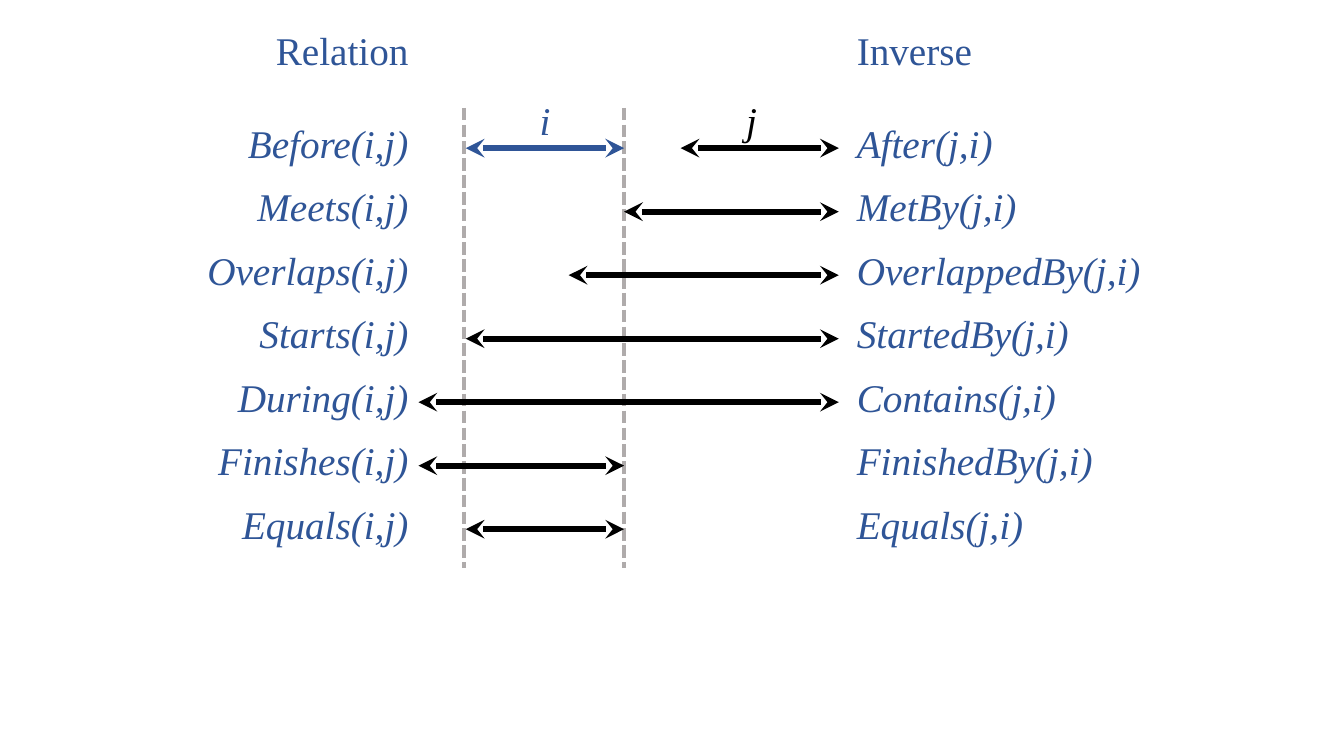
from typing import NamedTuple

from pptx import Presentation
from pptx.dml.color import RGBColor
from pptx.enum.dml import MSO_LINE
from pptx.enum.shapes import MSO_CONNECTOR
from pptx.enum.text import PP_ALIGN
from pptx.oxml.ns import qn
from pptx.shapes.connector import Connector
from pptx.slide import Slide
from pptx.util import Inches, Pt
from lxml.etree import SubElement

BLUE = RGBColor(0x2F, 0x55, 0x97)
BLACK = RGBColor(0, 0, 0)
GREY = RGBColor(0xAF, 0xAB, 0xAB)

FONT = "Times New Roman"
LABEL_HEIGHT = 0.57
HEADING_TOP = 0.21
RELATION_LEFT, RELATION_WIDTH = 1.75, 2.4
INVERSE_LEFT, INVERSE_WIDTH = 8.4, 3.3

# Horizontal stops shared by the intervals
BEFORE_I, I_START, IN_I, I_END, AFTER_I, J_END = 4.15, 4.62, 5.64, 6.19, 6.75, 8.32
GUIDES = (4.6, I_END)
GUIDE_TOP, GUIDE_BOTTOM = 1.07, 5.64
FIRST_ROW, ROW_STEP = 1.47, 0.63
LABEL_RISE = 0.34  # from the top of a row label down to its arrow


class Relation(NamedTuple):
    """An interval relation, its inverse and the extent of interval j."""
    name: str
    inverse: str
    start: float
    end: float


RELATIONS = (
    Relation("Before", "After", AFTER_I, J_END),
    Relation("Meets", "MetBy", I_END, J_END),
    Relation("Overlaps", "OverlappedBy", IN_I, J_END),
    Relation("Starts", "StartedBy", I_START, J_END),
    Relation("During", "Contains", BEFORE_I, J_END),
    Relation("Finishes", "FinishedBy", BEFORE_I, I_END),
    Relation("Equals", "Equals", I_START, I_END),
)


def add_label(slide: Slide, text: str, left: float, top: float, width: float,
              align: PP_ALIGN, color: RGBColor = BLUE, italic: bool = True) -> None:
    """Write one line of text."""
    frame = slide.shapes.add_textbox(
        Inches(left), Inches(top), Inches(width), Inches(LABEL_HEIGHT)).text_frame
    frame.word_wrap = True
    paragraph = frame.paragraphs[0]
    paragraph.text = text
    paragraph.alignment = align
    font = paragraph.font
    font.name, font.size, font.italic = FONT, Pt(28), italic
    font.color.rgb = color


def add_columns(slide: Slide, relation: str, inverse: str, top: float,
                italic: bool = True) -> None:
    """Write a row's left and right column texts."""
    add_label(slide, relation, RELATION_LEFT, top, RELATION_WIDTH,
              PP_ALIGN.RIGHT, italic=italic)
    add_label(slide, inverse, INVERSE_LEFT, top, INVERSE_WIDTH,
              PP_ALIGN.LEFT, italic=italic)


def add_line(slide: Slide, x1: float, y1: float, x2: float, y2: float,
             color: RGBColor, width: float) -> Connector:
    """Draw a straight line without shadow."""
    line = slide.shapes.add_connector(
        MSO_CONNECTOR.STRAIGHT, Inches(x1), Inches(y1), Inches(x2), Inches(y2))
    line.line.color.rgb = color
    line.line.width = Pt(width)
    SubElement(line.element.spPr, qn("a:effectLst"))
    return line


def add_interval(slide: Slide, start: float, end: float, y: float,
                 color: RGBColor = BLACK) -> None:
    """Draw an interval as a double-headed arrow."""
    arrow = add_line(slide, start, y, end, y, color, 4.5)
    outline = arrow.line._get_or_add_ln()
    for end_tag in ("a:headEnd", "a:tailEnd"):
        SubElement(outline, qn(end_tag), type="stealth")


def main() -> None:
    """Build the slide of interval relations."""
    deck = Presentation()
    deck.slide_width, deck.slide_height = Inches(13.33), Inches(7.5)
    slide = deck.slides.add_slide(deck.slide_layouts.get_by_name("Blank"))

    for x in GUIDES:
        guide = add_line(slide, x, GUIDE_TOP, x, GUIDE_BOTTOM, GREY, 3)
        guide.line.dash_style = MSO_LINE.SQUARE_DOT

    add_columns(slide, "Relation", "Inverse", HEADING_TOP, italic=False)
    add_interval(slide, I_START, I_END, FIRST_ROW, BLUE)
    for row, relation in enumerate(RELATIONS):
        y = FIRST_ROW + row * ROW_STEP
        add_interval(slide, relation.start, relation.end, y)
        add_columns(slide, f"{relation.name}(i,j)", f"{relation.inverse}(j,i)",
                    y - LABEL_RISE)

    for name, left, color in (("i", 5.25, BLUE), ("j", 7.3, BLACK)):
        add_label(slide, name, left, 0.91, 0.31, PP_ALIGN.CENTER, color)

    deck.save("out.pptx")


main()
